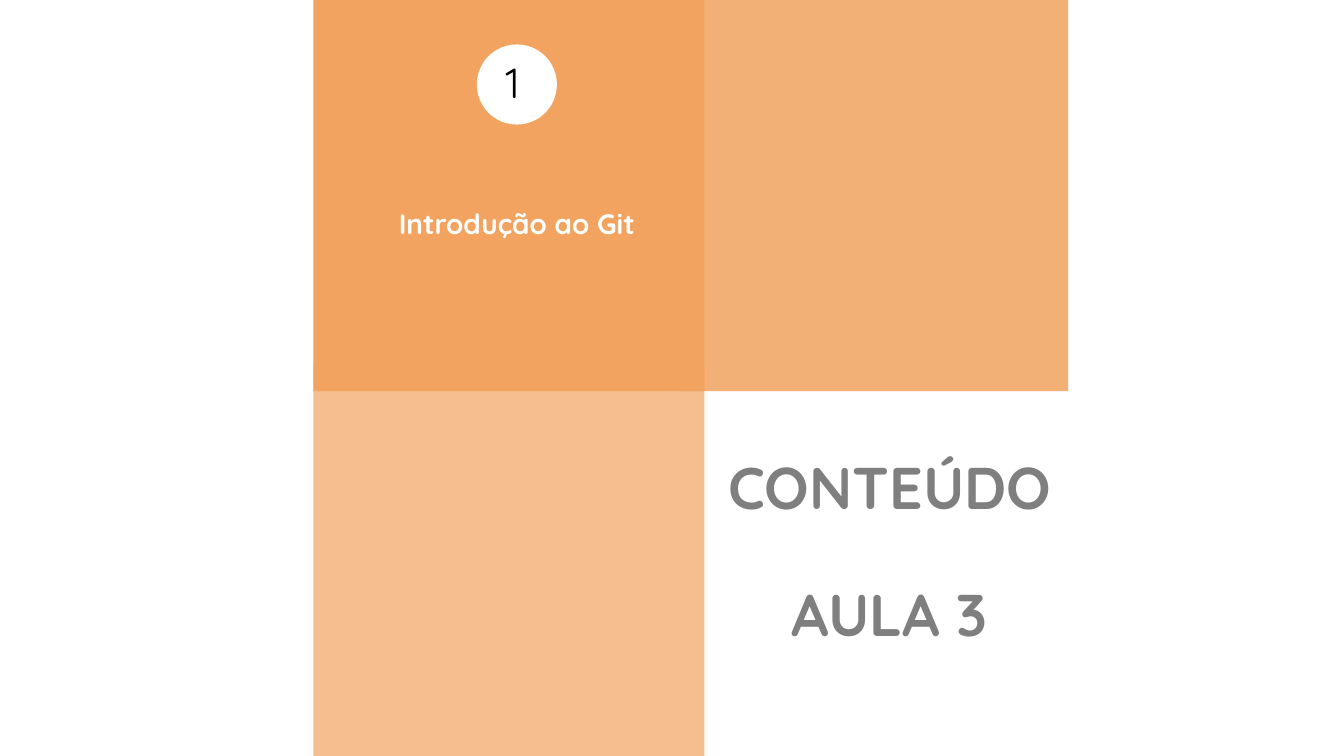
from dataclasses import dataclass

from lxml import etree
from pptx import Presentation
from pptx.dml.color import RGBColor
from pptx.enum.shapes import MSO_SHAPE
from pptx.enum.text import MSO_ANCHOR, MSO_AUTO_SIZE, PP_ALIGN
from pptx.oxml.ns import qn
from pptx.util import Cm, Pt

RECTANGLE, OVAL = MSO_SHAPE.RECTANGLE, MSO_SHAPE.OVAL
LEFT, CENTER = PP_ALIGN.LEFT, PP_ALIGN.CENTER
MIDDLE, NO_AUTOFIT = MSO_ANCHOR.MIDDLE, MSO_AUTO_SIZE.NONE
TITLE_ONLY = 5


@dataclass(frozen=True)
class Theme:
    font: str = "Quicksand"
    white: str = "FFFFFF"
    black: str = "000000"
    orange: str = "F2A35F"
    gray: str = "7F7F7F"
    title_size: int = 42
    number_size: int = 30
    topic_size: int = 20


class SlideBuilder:
    def __init__(self, slide, theme):
        self.slide = slide
        self.theme = theme

    def background(self, color):
        fill = self.slide.background.fill
        fill.solid()
        fill.fore_color.rgb = RGBColor.from_string(color)

    def shape(self, kind, box, color, opacity=100):
        shape = self.slide.shapes.add_shape(kind, *map(Cm, box))
        shape.shadow.inherit = False
        shape.line.fill.background()
        shape.fill.solid()
        shape.fill.fore_color.rgb = RGBColor.from_string(color)
        if opacity < 100:
            color_element = shape.element.spPr.find(".//" + qn("a:srgbClr"))
            alpha = etree.SubElement(color_element, qn("a:alpha"))
            alpha.set("val", str(opacity * 1000))

    def format_paragraph(self, paragraph, size, color, bold, alignment):
        paragraph.alignment = alignment
        for run in paragraph.runs:
            run.font.name = self.theme.font
            run.font.size = Pt(size)
            run.font.bold = bold
            run.font.color.rgb = RGBColor.from_string(color)

    def text(self, text, box, size, color, bold=False, alignment=LEFT):
        frame = self.slide.shapes.add_textbox(*map(Cm, box)).text_frame
        frame.word_wrap = True
        frame.text = text
        self.format_paragraph(frame.paragraphs[0], size, color, bold, alignment)

    def title(self, text, box, gap):
        title = self.slide.shapes.title
        title.left, title.top, title.width, title.height = map(Cm, box)
        frame = title.text_frame
        frame.text = text
        frame.word_wrap = True
        frame.auto_size = NO_AUTOFIT
        frame.vertical_anchor = MIDDLE
        for index, paragraph in enumerate(frame.paragraphs):
            paragraph.line_spacing = 0.9
            paragraph.space_before = Pt(gap if index else 0)
            self.format_paragraph(paragraph, self.theme.title_size,
                                  self.theme.gray, True, CENTER)


def main():
    theme = Theme()
    presentation = Presentation()
    presentation.slide_width, presentation.slide_height = Cm(33.88), Cm(19.05)
    layout = presentation.slide_layouts[TITLE_ONLY]
    builder = SlideBuilder(presentation.slides.add_slide(layout), theme)
    builder.background(theme.white)

    # Orange tiles: left, top, opacity
    tile_side = 9.86
    tiles = [(7.9, 0, 100), (17.07, 0, 85), (7.9, 9.19, 70)]
    for left, top, opacity in tiles:
        builder.shape(RECTANGLE, (left, top, tile_side, tile_side),
                      theme.orange, opacity)

    # Numbered topic
    builder.shape(OVAL, (12.02, 1.12, 2.02, 2.02), theme.white)
    builder.text("1", (12.5, 1.3, 5.46, 1.55), theme.number_size, theme.black)
    builder.text("Introdução ao Git", (8.38, 5.08, 9.3, 3.68),
                 theme.topic_size, theme.white, bold=True, alignment=CENTER)

    # Title
    builder.title("CONTEÚDO\nAULA 3", (18.08, 12.12, 8.69, 3.68), gap=45)

    presentation.save("out.pptx")


if __name__ == "__main__":
    main()
